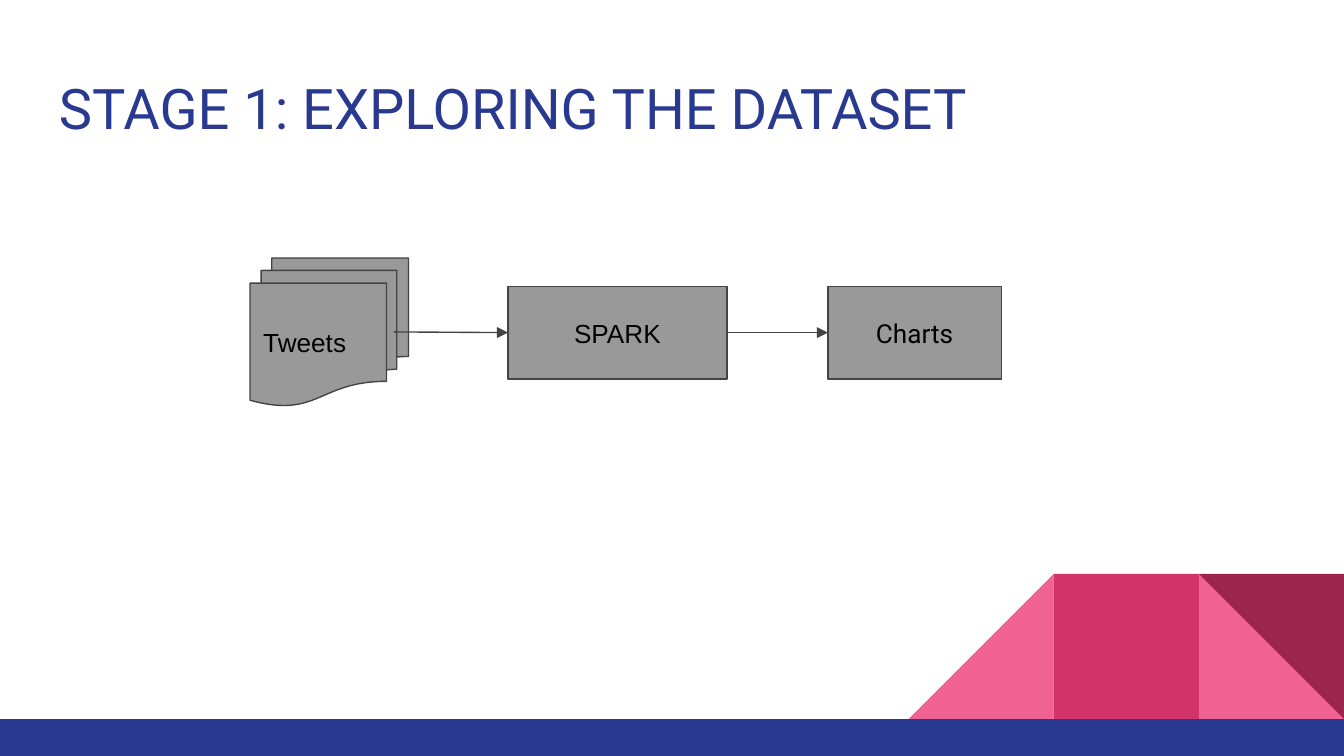
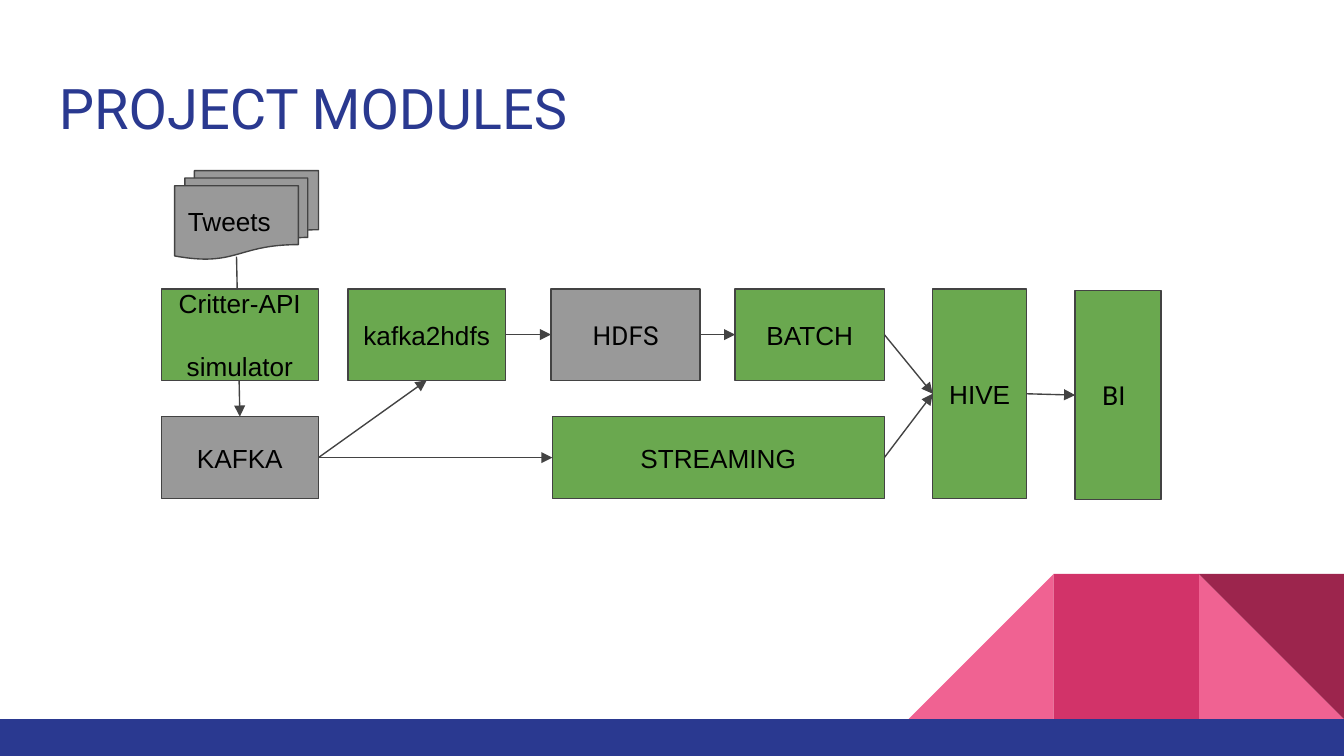
from pptx import Presentation
from pptx.dml.color import RGBColor
from pptx.enum import shapes, text
from pptx.oxml.ns import qn
from pptx.util import Inches, Pt
from lxml import etree

NAVY = "2A3990"
PINK = "F06292"
ROSE = "D23369"
WINE = "9C254D"
GREY = "999999"
GREEN = "6AA84F"
EDGE = "434343"
BLACK = "000000"

KIND = shapes.MSO_SHAPE
TOP, LEFT, BOTTOM, RIGHT = range(4)
UNIT = 1.08
WIDE, TALL, BAND = 10, 5.625, 5.35


def paint(color, code):
    color.rgb = RGBColor.from_string(code)


def style(par, size, code, font="Arial", align=text.PP_ALIGN.LEFT):
    par.alignment = align
    par.font.size = Pt(size)
    par.font.name = font
    paint(par.font.color, code)


def inset(frame, left=0.1):
    frame.word_wrap = True
    frame.margin_left = Inches(left)
    frame.margin_right = frame.margin_top = frame.margin_bottom = Inches(0.1)


def form(slide, kind, at, fill, edge=None):
    shape = slide.shapes.add_shape(kind, *map(Inches, at))
    shape.shadow.inherit = False
    shape.fill.solid()
    paint(shape.fill.fore_color, fill)
    if edge:
        paint(shape.line.color, edge)
        shape.line.width = Pt(0.75)
    else:
        shape.line.fill.background()
    return shape


def node(slide, label, at, fill=GREY, font="Arial", kind=KIND.RECTANGLE,
         align=text.PP_ALIGN.CENTER, left=0.1, gap=0):
    shape = form(slide, kind, at, fill, EDGE)
    frame = shape.text_frame
    inset(frame, left)
    frame.vertical_anchor = text.MSO_ANCHOR.MIDDLE
    frame.text = label
    for par in frame.paragraphs:
        style(par, 14, BLACK, font, align)
    frame.paragraphs[0].space_after = Pt(gap)
    return shape


def stack(slide, label, at):
    return node(slide, label, at, kind=KIND.FLOWCHART_MULTIDOCUMENT,
                align=text.PP_ALIGN.LEFT)


def arrow(slide, start, end, side=LEFT, out=RIGHT):
    line = slide.shapes.add_connector(shapes.MSO_CONNECTOR.STRAIGHT, 0, 0, 0, 0)
    if isinstance(start, tuple):
        line.begin_x, line.begin_y = map(Inches, start)
    else:
        line.begin_connect(start, out)
    line.end_connect(end, side)
    paint(line.line.color, EDGE)
    line.line.width = Pt(0.75)
    props = line._element.spPr
    etree.SubElement(props.find(qn("a:ln")), qn("a:tailEnd"), type="triangle")
    etree.SubElement(props, qn("a:effectLst"))


def base(deck, title):
    slide = deck.slides.add_slide(deck.slide_layouts[6])
    parts = [
        (KIND.RIGHT_TRIANGLE, 1, PINK, 0),
        (KIND.RIGHT_TRIANGLE, 3, PINK, 270),
        (KIND.RECTANGLE, 2, ROSE, 0),
        (KIND.RIGHT_TRIANGLE, 1, WINE, 180),
    ]
    for kind, step, fill, turn in parts:
        at = (WIDE - step * UNIT, BAND - UNIT, UNIT, UNIT)
        form(slide, kind, at, fill).rotation = turn
    form(slide, KIND.RECTANGLE, (0, BAND, WIDE, TALL - BAND), NAVY)
    frame = slide.shapes.add_textbox(
        *map(Inches, (0.34, 0.45, 9.32, 0.66))).text_frame
    inset(frame)
    frame.text = title
    style(frame.paragraphs[0], 30, NAVY, "Roboto")
    return slide


def stage(deck):
    slide = base(deck, "STAGE 1: EXPLORING THE DATASET")
    spark = node(slide, "SPARK", (3.78, 2.13, 1.63, 0.69))
    chart = node(slide, "Charts", (6.16, 2.13, 1.29, 0.69), font="Roboto")
    arrow(slide, spark, chart)
    stack(slide, "Tweets", (1.86, 1.92, 1.18, 1.1))
    arrow(slide, (2.93, 2.47), spark)


def modules(deck):
    slide = base(deck, "PROJECT MODULES")
    high, low = 2.15, 3.1
    tall, short = 0.68, 0.61
    kafka = node(slide, "KAFKA", (1.2, low, 1.17, short))
    stream = node(slide, "STREAMING", (4.11, low, 2.47, short), GREEN)
    stack(slide, "Tweets", (1.3, 1.27, 1.07, 0.66))
    arrow(slide, (1.76, 1.91), kafka, TOP)
    node(slide, "Critter-API\nsimulator", (1.2, high, 1.17, tall), GREEN, gap=17)
    load = node(slide, "kafka2hdfs", (2.59, high, 1.17, tall), GREEN)
    hdfs = node(slide, "HDFS", (4.1, high, 1.11, tall), font="Roboto")
    batch = node(slide, "BATCH", (5.47, high, 1.11, tall), GREEN)
    hive = node(slide, "HIVE", (6.94, high, 0.7, 1.56), GREEN)
    report = node(slide, "BI", (8, 2.16, 0.64, 1.56), GREEN, "Roboto",
                  align=text.PP_ALIGN.LEFT, left=0.2)
    arrow(slide, kafka, load, BOTTOM)
    for start, end in [(kafka, stream), (load, hdfs), (hdfs, batch),
                       (batch, hive), (stream, hive), (hive, report)]:
        arrow(slide, start, end)


def main():
    deck = Presentation()
    deck.slide_width, deck.slide_height = Inches(WIDE), Inches(TALL)
    stage(deck)
    modules(deck)
    deck.save("out.pptx")


if __name__ == "__main__":
    main()
